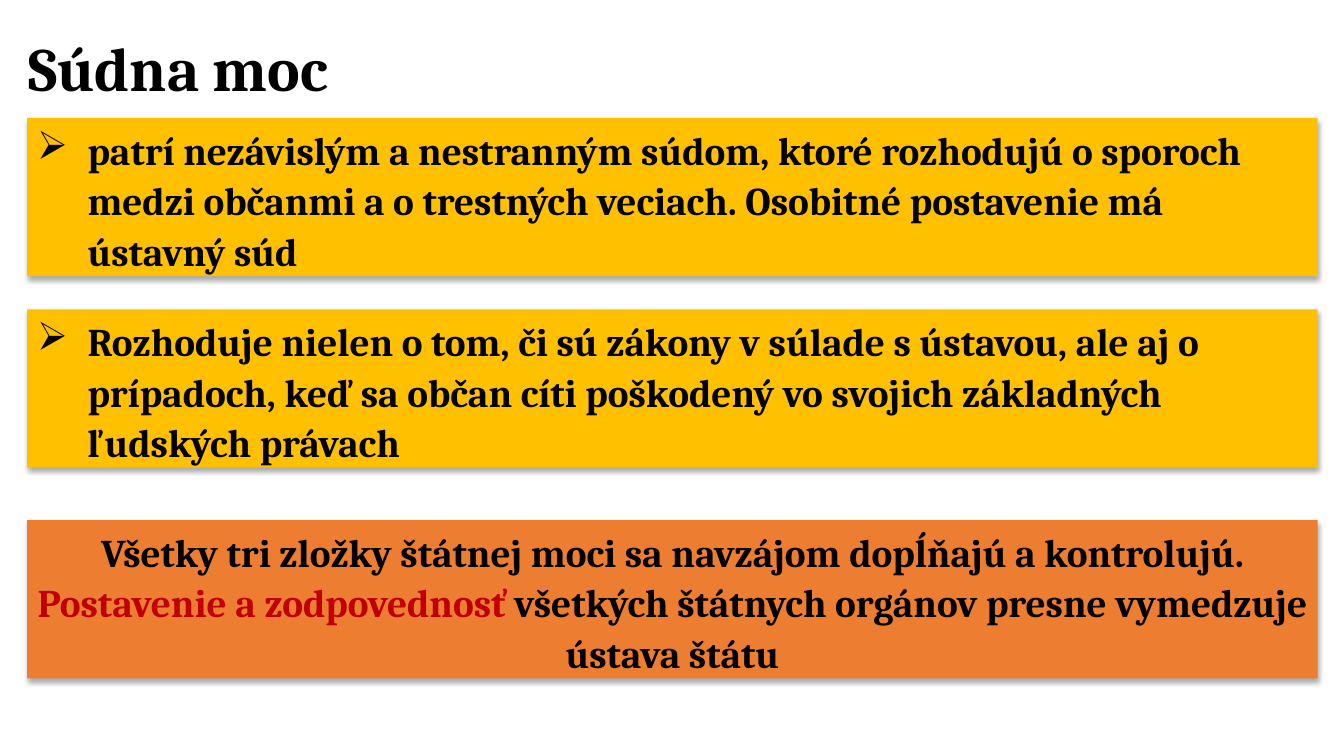
import dataclasses

import lxml.etree
import pptx
import pptx.dml.color
import pptx.enum.shapes
import pptx.enum.text
import pptx.oxml.ns
import pptx.util

Inches = pptx.util.Inches
Pt = pptx.util.Pt
Align = pptx.enum.text.PP_ALIGN
Anchor = pptx.enum.text.MSO_ANCHOR
BLACK, RED, AMBER, ORANGE = "000000", "C00000", "FFC000", "ED7D31"


@dataclasses.dataclass
class Span:
    text: str
    color: str = BLACK


@dataclasses.dataclass
class Panel:
    top: float
    fill: str
    spans: list[Span]
    bullet: str = ""


PANELS = [
    Panel(1.17, AMBER, [Span(
        "patrí nezávislým a nestranným súdom, ktoré rozhodujú o sporoch medzi občanmi "
        "a o trestných veciach. Osobitné postavenie má ústavný súd")], "➢"),
    Panel(3.07, AMBER, [Span(
        "Rozhoduje nielen o tom, či sú zákony v súlade s ústavou, ale aj o prípadoch, "
        "keď sa občan cíti poškodený vo svojich základných ľudských právach")], "➢"),
    Panel(5.16, ORANGE, [
        Span("Všetky tri zložky štátnej moci sa navzájom dopĺňajú a kontrolujú. "),
        Span("Postavenie a zodpovednosť ", RED),
        Span("všetkých štátnych orgánov presne vymedzuje ústava štátu")]),
]


def rgb(value: str) -> pptx.dml.color.RGBColor:
    return pptx.dml.color.RGBColor.from_string(value)


def add_child(parent, tag: str, **attributes: str):
    name = pptx.oxml.ns.qn(tag)
    return lxml.etree.SubElement(parent, name, attributes)


def apply(target, formats: dict) -> None:
    for name, value in formats.items():
        setattr(target, name, value)


def write_spans(para, spans: list[Span], size: int) -> None:
    for span in spans:
        run = para.add_run()
        run.text = span.text
        apply(run.font, {"name": "Cambria", "size": Pt(size), "bold": True})
        run.font.color.rgb = rgb(span.color)


def add_shadow(box) -> None:
    box.shadow.inherit = False
    effects = box._element.spPr.find(pptx.oxml.ns.qn("a:effectLst"))
    outer = add_child(effects, "a:outerShdw", blurRad=str(Pt(3.5)), dist=str(Pt(2.2)),
                      dir="5400000", algn="ctr", rotWithShape="0")
    color = add_child(outer, "a:srgbClr", val=BLACK)
    add_child(color, "a:alpha", val="32000")


def add_bullet(para, mark: str) -> None:
    properties = para._p.get_or_add_pPr()
    apply_indent = {"marL": Inches(0.5), "indent": -Inches(0.5)}
    for name, value in apply_indent.items():
        properties.set(name, str(value))
    add_child(properties, "a:buChar", char=mark)


def add_title(page, text: str) -> None:
    box = page.shapes.add_textbox(Inches(0.18), Inches(0.21), Inches(11.5), Inches(1))
    apply(box.text_frame, {"word_wrap": True, "vertical_anchor": Anchor.MIDDLE})
    para = box.text_frame.paragraphs[0]
    para.line_spacing = 0.9
    write_spans(para, [Span(text)], 44)


def add_panel(page, panel: Panel) -> None:
    box = page.shapes.add_shape(
        pptx.enum.shapes.MSO_SHAPE.RECTANGLE,
        Inches(0.27), Inches(panel.top), Inches(12.8), Inches(1.57))
    box.fill.solid()
    box.fill.fore_color.rgb = rgb(panel.fill)
    box.line.fill.background()
    add_shadow(box)
    apply(box.text_frame, {
        "word_wrap": True,
        "vertical_anchor": Anchor.TOP,
        "auto_size": pptx.enum.text.MSO_AUTO_SIZE.SHAPE_TO_FIT_TEXT,
    })
    para = box.text_frame.paragraphs[0]
    apply(para, {
        "alignment": Align.LEFT if panel.bullet else Align.CENTER,
        "line_spacing": 1.07,
        "space_after": Pt(8),
    })
    if panel.bullet:
        add_bullet(para, panel.bullet)
    write_spans(para, panel.spans, 28)


def main() -> None:
    deck = pptx.Presentation()
    apply(deck, {"slide_width": Inches(13.33), "slide_height": Inches(7.5)})
    page = deck.slides.add_slide(deck.slide_layouts[6])
    add_title(page, "Súdna moc")
    for panel in PANELS:
        add_panel(page, panel)
    deck.save("out.pptx")


if __name__ == "__main__":
    main()
